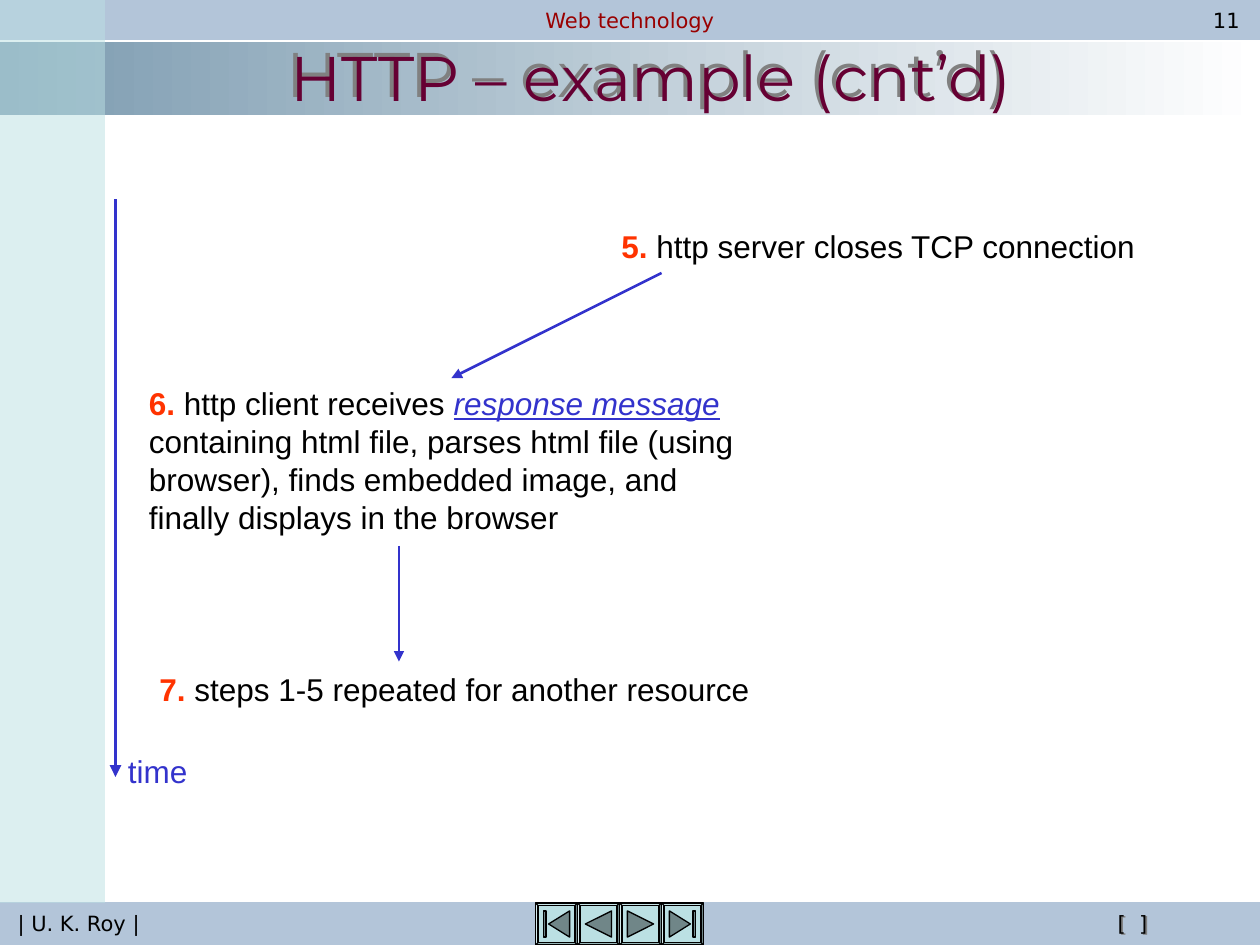
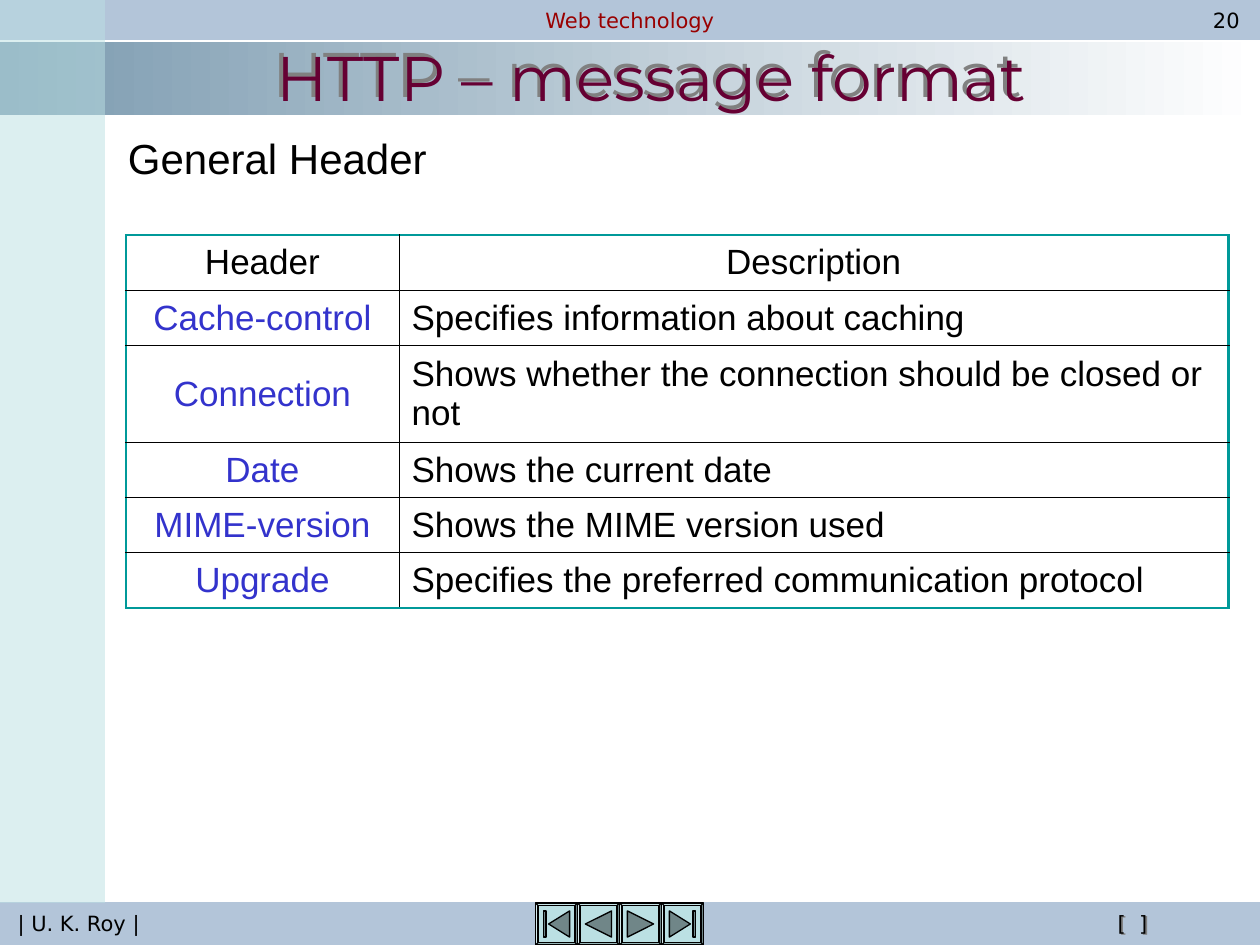
from dataclasses import dataclass
from pptx import Presentation
from pptx.dml.color import RGBColor
from pptx.enum.shapes import MSO_CONNECTOR, MSO_SHAPE
from pptx.enum.text import MSO_ANCHOR, MSO_AUTO_SIZE, PP_ALIGN
from pptx.oxml import parse_xml
from pptx.oxml.ns import nsdecls
from pptx.util import Inches, Pt


@dataclass(frozen=True)
class Theme:
    bar: str = "B3C5D9"
    steel: str = "7C9BB0"
    white: str = "FFFFFF"
    aqua: str = "BBE0E3"
    icon: str = "708688"
    black: str = "000000"
    gray: str = "808080"
    brand: str = "990000"
    title: str = "660033"
    blue: str = "3333CC"
    red: str = "FF3300"
    teal: str = "009999"
    small: int = 12
    body: int = 18
    table: int = 20
    lead: int = 24
    head: int = 36
    sans: str = "Arial"
    label: str = "DejaVu Sans"
    show: str = "Montserrat"


look = Theme()
rgb = RGBColor.from_string
deck = Presentation()
deck.slide_width, deck.slide_height = Inches(10), Inches(7.5)
unit = deck.slide_width / 120


def grid(*spans):
    return [round(span * unit) for span in spans]


def write(frame, *parts, font=look.sans, size=look.body, color=look.black,
          align=PP_ALIGN.LEFT, anchor=MSO_ANCHOR.TOP, wrap=True):
    frame.word_wrap = wrap
    frame.auto_size = MSO_AUTO_SIZE.NONE
    frame.vertical_anchor = anchor
    line = frame.paragraphs[0]
    line.alignment = align
    for part in parts:
        text, style = part if isinstance(part, tuple) else (part, {})
        run = line.add_run()
        run.text = text
        run.font.name, run.font.size = font, Pt(size)
        run.font.color.rgb = rgb(style.get("color", color))
        run.font.bold = style.get("bold", False)
        run.font.italic = run.font.underline = style.get("link", False)
        if "gap" in style:
            run.font.language_id = None
            run._r.get_or_add_rPr().set("spc", str(style["gap"]))


shade = ('<a:outerShdw {} dist="{}" dir="{}" algn="ctr" rotWithShape="0">'
         '<a:srgbClr val="{}"/></a:outerShdw>')
middle = dict(align=PP_ALIGN.CENTER, anchor=MSO_ANCHOR.MIDDLE)
tag = dict(font=look.label, size=look.small, wrap=False, **middle)

layout = deck.slide_layouts[5]
for spare in list(layout.placeholders)[1:]:
    spare.element.getparent().remove(spare.element)
slides = [deck.slides.add_slide(layout) for _ in range(2)]
first, second = slides
shared = []

for spot, tint, edge in [
    ((0, 4, 120, 7), None, False),
    ((0, 0, 120, 3.8), look.bar, True),
    ((0, 86, 120, 4), look.bar, True),
    ((0, 0, 10, 86), look.aqua, False),
]:
    band = first.shapes.add_shape(MSO_SHAPE.RECTANGLE, *grid(*spot))
    band.shadow.inherit = False
    if tint:
        band.fill.solid()
        band.fill.fore_color.rgb = rgb(tint)
    else:
        band.fill.gradient()
        band.fill.gradient_angle = 0
        for stop, shadeto in zip(band.fill.gradient_stops, (look.steel, look.white)):
            stop.color.rgb = rgb(shadeto)
    if edge:
        band.line.color.rgb = rgb(tint)
        band.line.width = Pt(0.75)
    else:
        band.line.fill.background()
    shared.append(band)
clear = shared[-1].element.xpath(".//a:solidFill/a:srgbClr")[0]
clear.append(parse_xml(f'<a:alpha {nsdecls("a")} val="50000"/>'))

labels = [
    (first, (42, 0, 36, 3.8), ["Web technology"], look.brand),
    (first, (0, 86, 15, 3.8), ["| U. K. Roy |"], look.black),
    (first, (96, 86, 23.7, 3.8), ["[", (" ", {"gap": 380}), "]"], look.black),
    (first, (113.8, 0, 6, 3.8), ["11"], look.black),
    (second, (113.8, 0, 6, 3.8), ["20"], look.black),
]
for slide, spot, parts, tint in labels:
    label = slide.shapes.add_shape(MSO_SHAPE.ROUNDED_RECTANGLE, *grid(*spot))
    label.adjustments[0] = 0.47
    label.fill.background()
    label.line.fill.background()
    label.shadow.inherit = False
    write(label.text_frame, *parts, color=tint, **tag)
    if parts[0] == "[":
        glow = label.element.xpath(".//a:effectLst")[0]
        glow.append(parse_xml(shade.format(nsdecls("a"), 17961, 2700000, look.gray)))
    if not parts[0].isdigit():
        shared.append(label)

start = [(5, 8), (13, 3), (13, 13)]
back = [(3, 8), (13, 3), (13, 13)]
stem = [(3, 3), (4, 3), (4, 13), (3, 13)]
for spot, (flip, tri, bar) in enumerate([
    (False, start, stem), (False, back, None), (True, back, None), (True, start, stem),
]):
    left, top, side = grid(51 + 4 * spot, 86, 4)
    key = first.shapes.add_shape(MSO_SHAPE.BEVEL, left, top, side, side)
    key.adjustments[0] = 0.06
    pen = None
    for path in filter(None, (tri, bar)):
        dots = [(16 - x if flip else x, y) for x, y in path]
        if pen is None:
            pen = first.shapes.build_freeform(*dots[0], scale=unit / 4)
        else:
            pen.move_to(*dots[0])
        pen.add_line_segments(dots[1:], close=True)
    mark = pen.convert_to_shape(left, top)
    for shape, tint in ((key, look.aqua), (mark, look.icon)):
        shape.shadow.inherit = False
        shape.fill.solid()
        shape.fill.fore_color.rgb = rgb(tint)
        shape.line.color.rgb = rgb(look.black)
        shape.line.width = Pt(0.75)
        shared.append(shape)

for spot, shape in enumerate(shared, 2):
    layout.shapes.element.insert(spot, shape.element)

for slide, text in zip(slides, ("HTTP – example (cnt’d)", "HTTP – message format")):
    title = slide.shapes.title
    title.left, title.top, title.width, title.height = grid(10, 1.5, 104, 11.5)
    title.shadow.inherit = False
    glow = title.element.xpath(".//a:effectLst")[0]
    glow.append(parse_xml(shade.format(nsdecls("a"), 35921, 13500000, look.gray)))
    write(title.text_frame, text, font=look.show, size=look.head,
          color=look.title, **middle)

num = {"color": look.red, "bold": True}
link = {"color": look.blue, "link": True}
for slide, spot, parts, style in [
    (first, (11, 71, 9, 4.8), ["time"], {"color": look.blue}),
    (first, (58, 21, 59, 4.8), [("5.", num), " http server closes TCP connection"], {}),
    (first, (13, 36, 59, 15.6),
     [("6.", num), " http client receives ", ("response message", link),
      " containing html file, parses html file (using browser), "
      "finds embedded image, and finally displays in the browser"], {}),
    (first, (14, 63.2, 59, 4.8),
     [("7.", num), " steps 1-5 repeated for another resource"], {}),
    (second, (11, 12, 39, 6), ["General Header"], {"size": look.lead}),
]:
    box = slide.shapes.add_textbox(*grid(*spot))
    write(box.text_frame, *parts, **style)

for ends, width in [
    ((11, 19, 11, 74), 2.25),
    ((63, 26, 43, 36), 1.5),
    ((38, 52, 38, 63), 1.5),
]:
    arrow = first.shapes.add_connector(MSO_CONNECTOR.STRAIGHT, *grid(*ends))
    arrow.line.color.rgb = rgb(look.blue)
    arrow.line.width = Pt(width)
    arrow.line._get_or_add_ln().append(
        parse_xml(f'<a:tailEnd {nsdecls("a")} type="triangle"/>'))
    arrow.element.spPr.append(parse_xml(f'<a:effectLst {nsdecls("a")}/>'))

rows = [
    ("Header", "Description"),
    ("Cache-control", "Specifies information about caching"),
    ("Connection", "Shows whether the connection should be closed or not"),
    ("Date", "Shows the current date"),
    ("MIME-version", "Shows the MIME version used"),
    ("Upgrade", "Specifies the preferred communication protocol"),
]
last = len(rows) - 1
table = second.shapes.add_table(len(rows), 2, *grid(12, 22.4, 105, 35.5)).table
table.first_row = table.horz_banding = False
for col, width in zip(table.columns, grid(26, 79)):
    col.width = width
for r, row in enumerate(rows):
    table.rows[r].height = grid(9.25 if r == 2 else 5.25)[0]
    for c, text in enumerate(row):
        cell = table.cell(r, c)
        cell.fill.background()
        cell.vertical_anchor = MSO_ANCHOR.MIDDLE
        write(cell.text_frame, text, size=look.table,
              color=look.blue if r and not c else look.black,
              align=PP_ALIGN.LEFT if r and c else PP_ALIGN.CENTER)
        outer = {"L": c == 0, "R": c == 1, "T": r == 0, "B": r == last}
        for spot, (side, thick) in enumerate(outer.items()):
            width, tint = (Pt(1.47), look.teal) if thick else (Pt(0.45), look.black)
            cell._tc.get_or_add_tcPr().insert(spot, parse_xml(
                f'<a:ln{side} {nsdecls("a")} w="{width}"><a:solidFill>'
                f'<a:srgbClr val="{tint}"/></a:solidFill></a:ln{side}>'))

deck.save("out.pptx")
